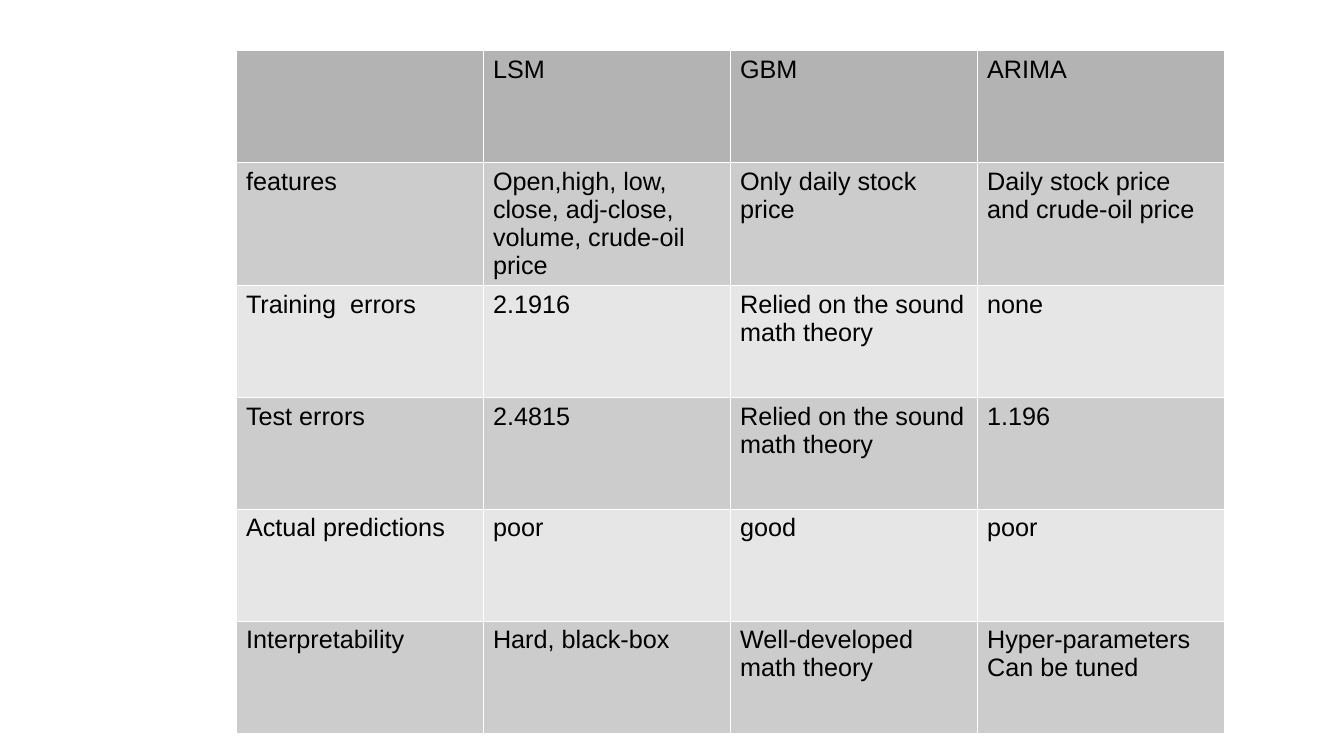
import pptx
import pptx.dml.color
import pptx.oxml
import pptx.oxml.ns
import pptx.util
from pptx.util import Inches

HEADER_FILL = "B3B3B3"
BAND_FILLS = ("CCCCCC", "E6E6E6")

MODEL_COMPARISON = [
    ["", "LSM", "GBM", "ARIMA"],
    ["features", "Open,high, low, close, adj-close, volume, crude-oil price",
     "Only daily stock price", "Daily stock price and crude-oil price"],
    ["Training  errors", "2.1916", "Relied on the sound math theory", "none"],
    ["Test errors", "2.4815", "Relied on the sound math theory", "1.196"],
    ["Actual predictions", "poor", "good", "poor"],
    ["Interpretability", "Hard, black-box", "Well-developed math theory",
     "Hyper-parameters\nCan be tuned"],
]


def color(hex_string):
    return pptx.dml.color.RGBColor.from_string(hex_string)


def write_text(frame, text, font="Arial", size=18, ink="000000"):
    frame.text = text
    for para in frame.paragraphs:
        para.font.size = pptx.util.Pt(size)
        for span in para.runs:
            span.font.name = font
            span.font.size = pptx.util.Pt(size)
            span.font.color.rgb = color(ink)


class SlideBuilder:
    """Holds the table style and the current slide."""

    border_color = "FFFFFF"
    border_width = pptx.util.Pt(0.06)

    def __init__(self, slide):
        self.slide = slide

    def add_borders(self, cell):
        properties = cell._tc.get_or_add_tcPr()
        for side in ("lnL", "lnR", "lnT", "lnB"):
            properties.append(pptx.oxml.parse_xml(
                f'<a:{side} {pptx.oxml.ns.nsdecls("a")} w="{self.border_width}">'
                f'<a:solidFill><a:srgbClr val="{self.border_color}"/></a:solidFill>'
                f'</a:{side}>'))

    def add_table(self, rows, left, top, column_width, row_height):
        row_count, column_count = len(rows), len(rows[0])
        frame = self.slide.shapes.add_table(
            row_count, column_count, Inches(left), Inches(top),
            Inches(column_width * column_count), Inches(row_height * row_count))
        table = frame.table
        for column in table.columns:
            column.width = Inches(column_width)
        for row_index, texts in enumerate(rows):
            table.rows[row_index].height = Inches(row_height)
            fill = BAND_FILLS[(row_index - 1) % 2] if row_index else HEADER_FILL
            for column_index, text in enumerate(texts):
                cell = table.cell(row_index, column_index)
                self.add_borders(cell)
                cell.fill.solid()
                cell.fill.fore_color.rgb = color(fill)
                write_text(cell.text_frame, text)


def main():
    deck = pptx.Presentation()
    deck.slide_width = Inches(13.33)
    deck.slide_height = Inches(7.5)
    blank_layout = deck.slide_layouts[6]
    builder = SlideBuilder(deck.slides.add_slide(blank_layout))

    # Comparison of the three models
    builder.add_table(MODEL_COMPARISON, left=2.34, top=0.5,
                      column_width=2.45, row_height=1.11)

    deck.save("out.pptx")


if __name__ == "__main__":
    main()
